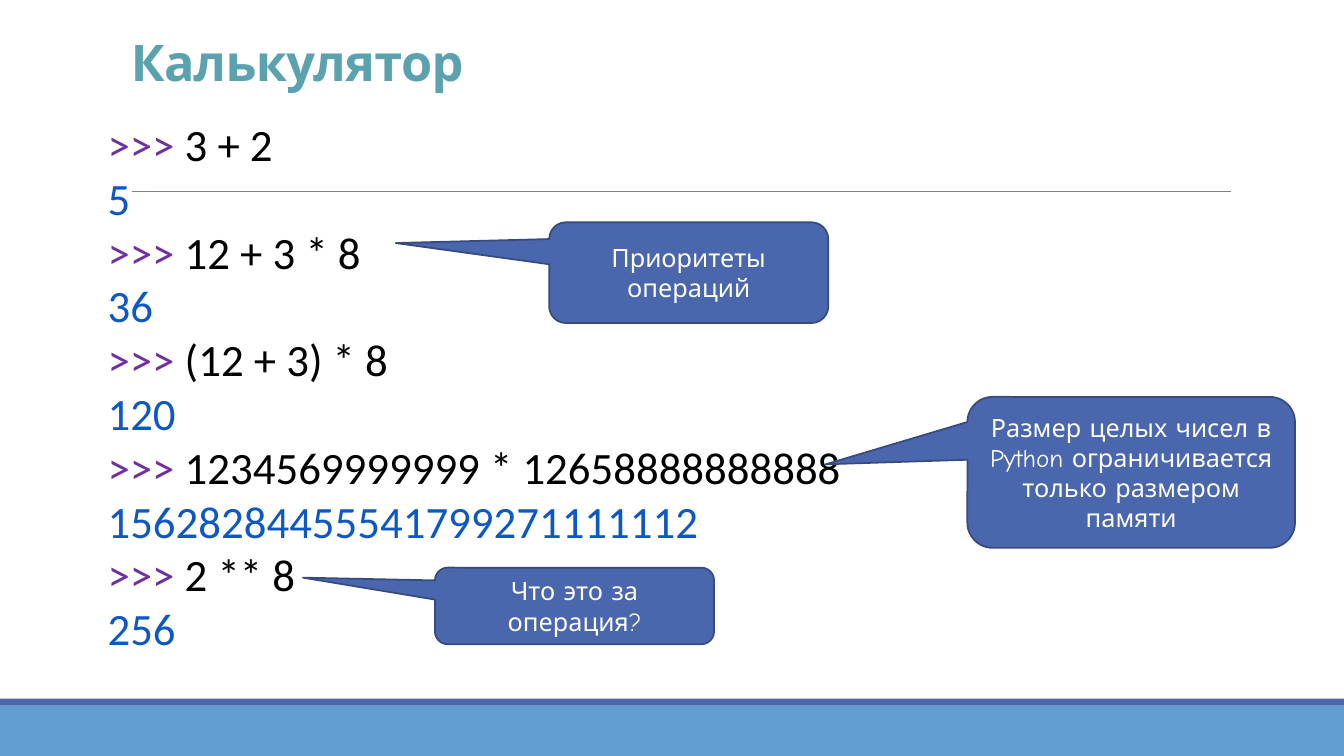
from lxml import etree
from pptx import Presentation
from pptx.dml.color import RGBColor
from pptx.enum.shapes import MSO_CONNECTOR, MSO_SHAPE
from pptx.enum.text import MSO_ANCHOR, PP_ALIGN
from pptx.oxml.ns import qn
from pptx.util import Pt

RECT, CALLOUT = MSO_SHAPE.RECTANGLE, MSO_SHAPE.ROUNDED_RECTANGULAR_CALLOUT
TOP, MIDDLE, BOTTOM = MSO_ANCHOR.TOP, MSO_ANCHOR.MIDDLE, MSO_ANCHOR.BOTTOM
LEFT, CENTER = PP_ALIGN.LEFT, PP_ALIGN.CENTER
BLUE, PROMPT, RESULT = "4A66AC", "7030A0", "0E58C4"


def rgb(value):
    return RGBColor.from_string(value)


def write(sp, lines, size=18, font="Comic Neue", bold=False,
          align=LEFT, anchor=TOP, spacing=None):
    """Fill a shape with lines, each a list of (text, colour) runs."""
    tf = sp.text_frame
    tf.word_wrap = True
    tf.vertical_anchor = anchor
    for i, runs in enumerate(lines):
        p = tf.add_paragraph() if i else tf.paragraphs[0]
        p.alignment = align
        p.line_spacing = spacing
        for text, color in runs:
            r = p.add_run()
            r.text = text
            r.font.size = Pt(size)
            r.font.name = font
            r.font.bold = bold
            r.font.color.rgb = rgb(color)


prs = Presentation()
prs.slide_width, prs.slide_height = Pt(960), Pt(540)
s = prs.slides.add_slide(prs.slide_layouts[6])

# Footer bands
for top, height, color in [(504, 36, "629DD1"), (499, 5, BLUE)]:
    sp = s.shapes.add_shape(RECT, 0, Pt(top), prs.slide_width, Pt(height))
    sp.shadow.inherit = False
    sp.fill.solid()
    sp.fill.fore_color.rgb = rgb(color)
    sp.line.fill.background()

# Rule under the title
rule = s.shapes.add_connector(MSO_CONNECTOR.STRAIGHT,
                              Pt(94.3), Pt(136.8), Pt(879), Pt(136.8))
rule.line.color.rgb = rgb("808080")
rule.line.width = Pt(0.5)
etree.SubElement(rule.element.spPr, qn("a:effectLst"))

# Interpreter session
session = [
    ("3 + 2", "5"),
    ("12 + 3 * 8", "36"),
    ("(12 + 3) * 8", "120"),
    ("1234569999999 * 12658888888888", "15628284455541799271111112"),
    ("2 ** 8", "256"),
]
lines = []
for expression, result in session:
    lines.append([(">>> ", PROMPT), (expression, "000000")])
    lines.append([(result, RESULT)])
sp = s.shapes.add_textbox(Pt(69.8), Pt(79.9), Pt(731), Pt(395))
write(sp, lines, size=32, font="Calibri")

# Title with tight tracking and a thin white outline
title = s.shapes.add_textbox(Pt(86.4), Pt(22.3), Pt(792), Pt(46.8))
write(title, [[("Калькулятор", "5AA2AE")]], size=36, bold=True,
      anchor=BOTTOM, spacing=0.85)
rPr = title.text_frame.paragraphs[0].runs[0].font._element
rPr.set("spc", "-50")
ln = etree.Element(qn("a:ln"), w=str(Pt(0.75)))
fill = etree.SubElement(ln, qn("a:solidFill"))
etree.SubElement(fill, qn("a:srgbClr"), val="FFFFFF")
rPr.insert(0, ln)

# Callouts: text, box, pointer tip relative to the box centre
callouts = [
    ("Что это за операция?", (310.7, 405.5, 199.4, 54.7), (-0.973, -0.369)),
    ("Размер целых чисел в Python ограничивается только размером памяти",
     (691, 283.5, 234, 107.8), (-0.933, -0.053)),
    ("Приоритеты операций", (392.3, 158.8, 199.4, 72), (-1.05, -0.294)),
]
for text, box, tip in callouts:
    sp = s.shapes.add_shape(CALLOUT, *[Pt(v) for v in box])
    sp.shadow.inherit = False
    sp.adjustments[0], sp.adjustments[1] = tip
    sp.fill.solid()
    sp.fill.fore_color.rgb = rgb(BLUE)
    sp.line.color.rgb = rgb("374B7F")
    sp.line.width = Pt(1.25)
    write(sp, [[(text, "FFFFFF")]], align=CENTER, anchor=MIDDLE)

prs.save("out.pptx")
